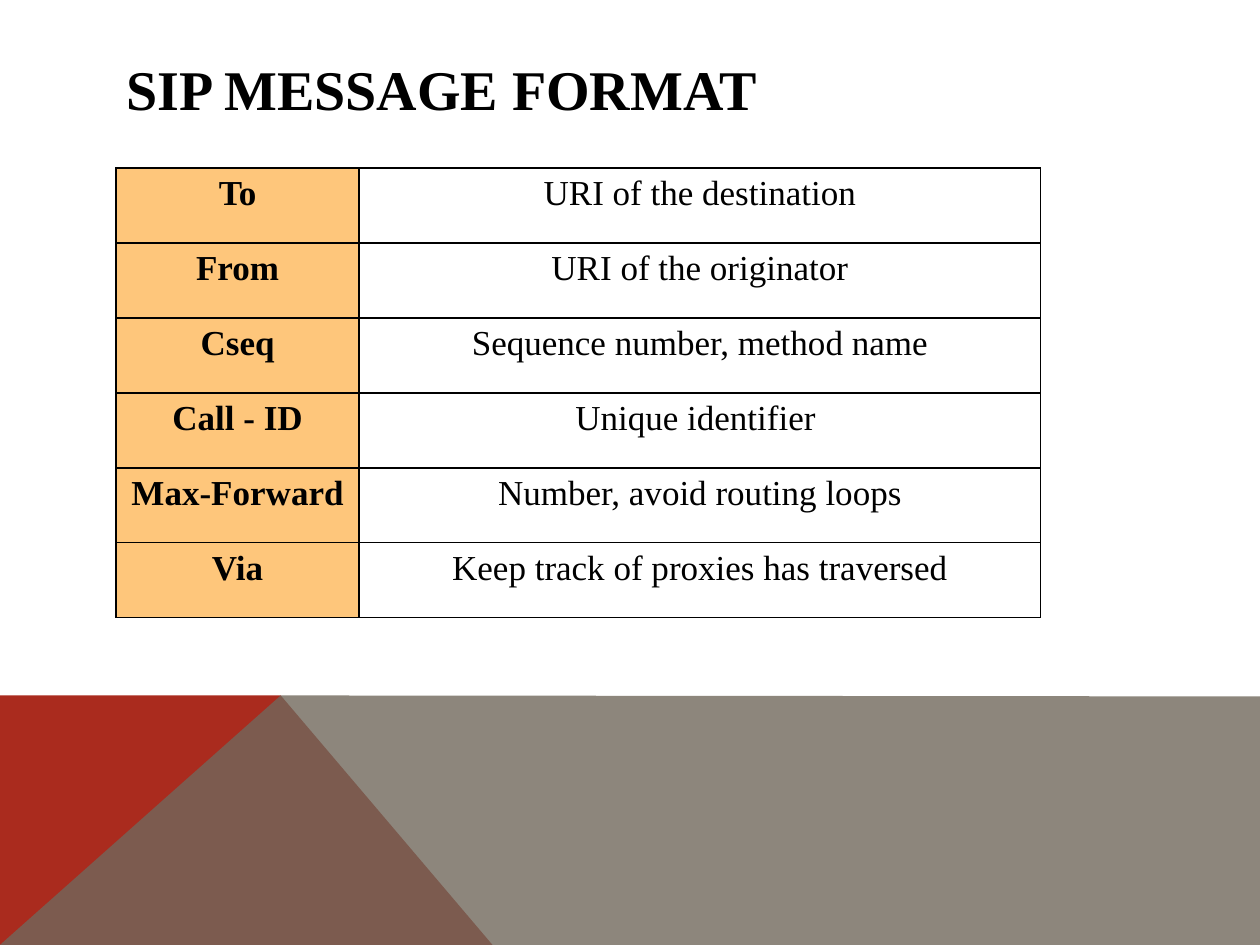
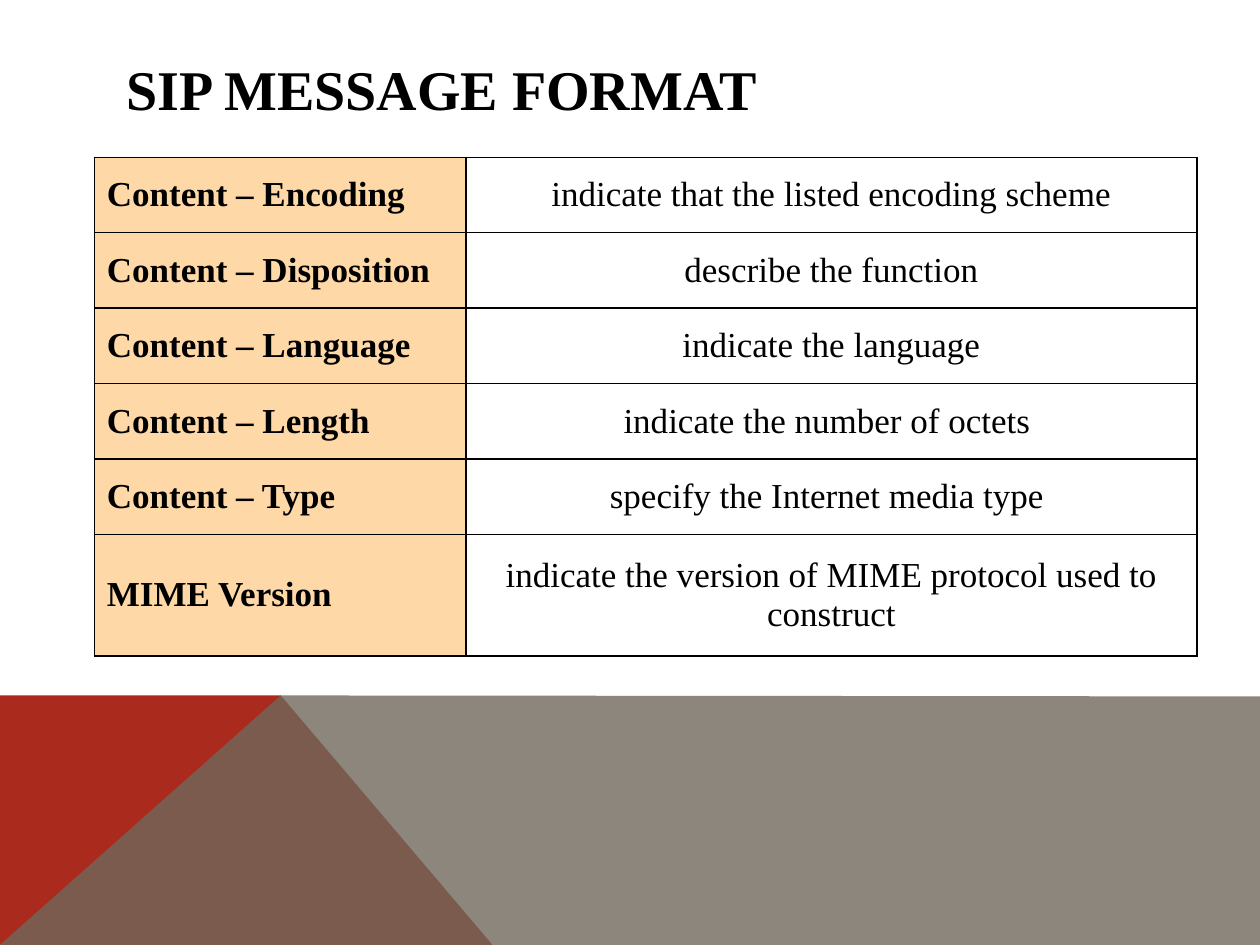
from lxml import etree
from pptx import Presentation
from pptx.dml.color import RGBColor
from pptx.enum.text import MSO_ANCHOR, MSO_AUTO_SIZE, PP_ALIGN
from pptx.oxml.ns import qn
from pptx.util import Cm, Pt

LEFT, CENTER = PP_ALIGN.LEFT, PP_ALIGN.CENTER
TOP, MIDDLE = MSO_ANCHOR.TOP, MSO_ANCHOR.MIDDLE
FIXED = MSO_AUTO_SIZE.NONE

FONT = "Times New Roman"
INK, RED, STONE = "000000", "AA2B1E", "71685C"
WIDE, HIGH = 25.4, 19.05
CREST, PEAK, FOOT = 14.02, 5.66, 9.93
TITLE_BOX = (2.29, 1.02, 20.88, 1.52)

BANDS = [
    (RED, 100, [(0, HIGH), (0, CREST), (PEAK, CREST), (FOOT, HIGH)]),
    (STONE, 80, [(0, HIGH), (PEAK, CREST), (WIDE, CREST + 0.02), (WIDE, HIGH)]),
]

SLIDES = [
    {
        "title": "SIP MESSAGE FORMAT",
        "at": (2.34, 3.39),
        "cols": (4.9, 13.74),
        "rows": [1.51] * 6,
        "fill": "FEC67B",
        "align": CENTER,
        "anchor": TOP,
        "fields": [
            ("To", "URI of the destination"),
            ("From", "URI of the originator"),
            ("Cseq", "Sequence number, method name"),
            ("Call - ID", "Unique identifier "),
            ("Max-Forward", "Number, avoid routing loops"),
            ("Via", "Keep track of proxies has traversed"),
        ],
    },
    {
        "title": "SIP MESSAGE FORMAT",
        "at": (1.9, 3.17),
        "cols": (7.49, 14.74),
        "rows": [1.52] * 5 + [2.45],
        "fill": "FED9A7",
        "align": LEFT,
        "anchor": MIDDLE,
        "fields": [
            ("Content – Encoding", "indicate that the listed encoding scheme"),
            ("Content – Disposition", "describe the function"),
            ("Content – Language", "indicate the language"),
            ("Content – Length", "indicate the number of octets "),
            ("Content – Type", "specify the Internet media type "),
            ("MIME Version", "indicate the version of MIME protocol used to construct"),
        ],
    },
]


def paint(fill, color):
    fill.solid()
    fill.fore_color.rgb = RGBColor.from_string(color)


def write(frame, text, size, bold, align):
    frame.text = text
    line = frame.paragraphs[0]
    line.alignment = align
    font = line.runs[0].font
    font.name, font.size, font.bold = FONT, Pt(size), bold
    font.color.rgb = RGBColor.from_string(INK)


def add_band(slide, color, alpha, points):
    spots = [(Cm(x), Cm(y)) for x, y in points]
    pen = slide.shapes.build_freeform(*spots[0])
    pen.add_line_segments(spots[1:], close=True)
    band = pen.convert_to_shape()
    band.shadow.inherit = False
    band.line.fill.background()
    paint(band.fill, color)
    if alpha < 100:
        tint = band.fill._xPr.find(".//" + qn("a:srgbClr"))
        etree.SubElement(tint, qn("a:alpha"), val=str(alpha * 1000))


def add_title(slide, text):
    title = slide.shapes.title
    title.left, title.top, title.width, title.height = map(Cm, TITLE_BOX)
    frame = title.text_frame
    frame.auto_size = FIXED
    frame.vertical_anchor = MIDDLE
    write(frame, text, 32, True, LEFT)


def add_border(cell):
    props = cell._tc.get_or_add_tcPr()
    for side in ("lnL", "lnR", "lnT", "lnB"):
        line = etree.SubElement(props, qn("a:" + side), w=str(Pt(1)))
        fill = etree.SubElement(line, qn("a:solidFill"))
        etree.SubElement(fill, qn("a:srgbClr"), val=INK)


def add_fields(slide, data):
    cols, rows = data["cols"], data["rows"]
    box = (*data["at"], sum(cols), sum(rows))
    table = slide.shapes.add_table(len(rows), len(cols), *map(Cm, box)).table
    table.first_row = table.horz_banding = False
    for col, width in zip(table.columns, cols):
        col.width = Cm(width)
    for row, height, field in zip(table.rows, rows, data["fields"]):
        row.height = Cm(height)
        name, note = row.cells
        write(name.text_frame, field[0], 20, True, data["align"])
        write(note.text_frame, field[1], 20, False, CENTER)
        for cell in (name, note):
            cell.vertical_anchor = data["anchor"]
            add_border(cell)
        paint(name.fill, data["fill"])
        note.fill.background()


def main():
    deck = Presentation()
    deck.slide_width, deck.slide_height = Cm(WIDE), Cm(HIGH)
    for data in SLIDES:
        slide = deck.slides.add_slide(deck.slide_layouts[5])
        for band in BANDS:
            add_band(slide, *band)
        add_title(slide, data["title"])
        add_fields(slide, data)
    deck.save("out.pptx")


if __name__ == "__main__":
    main()
